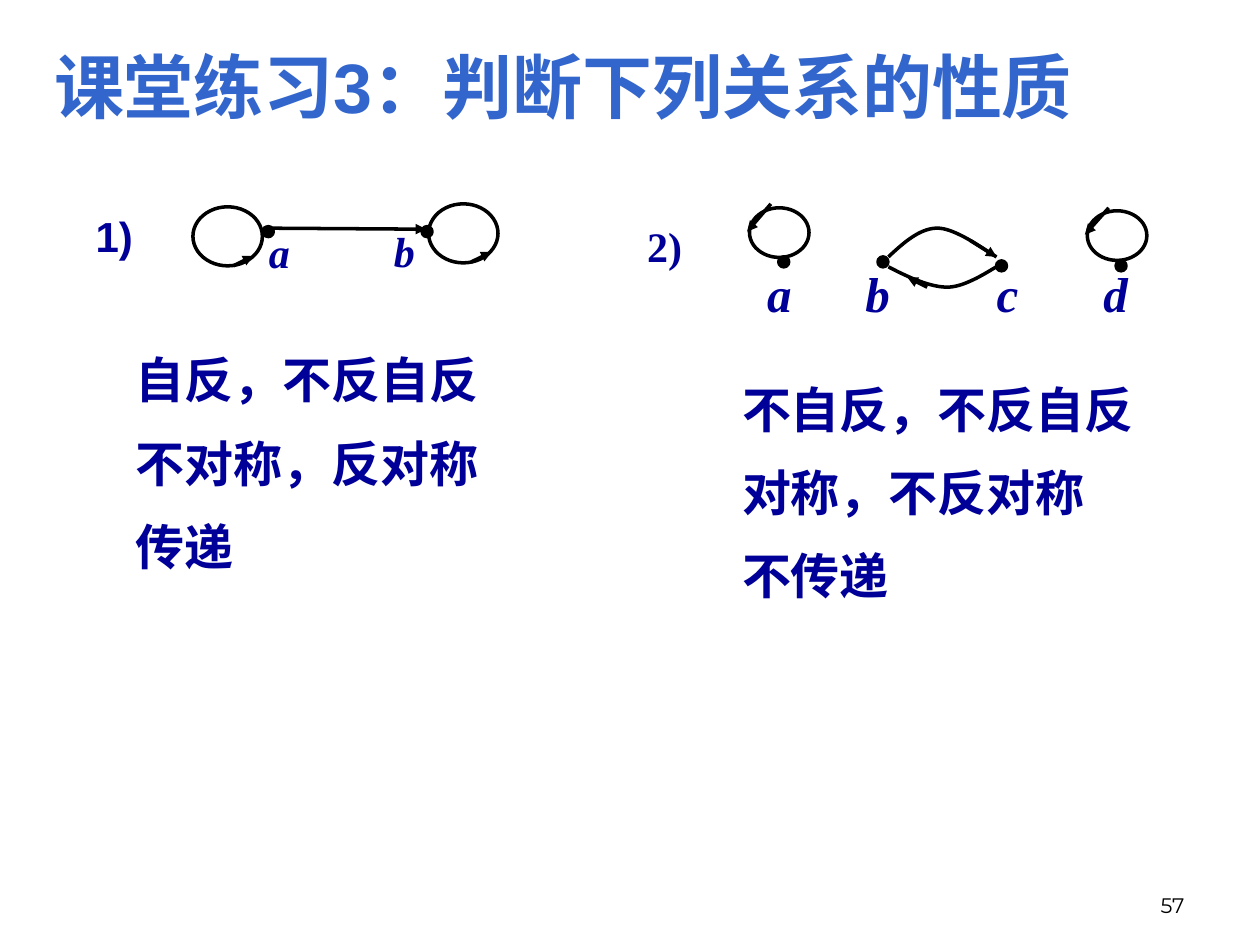
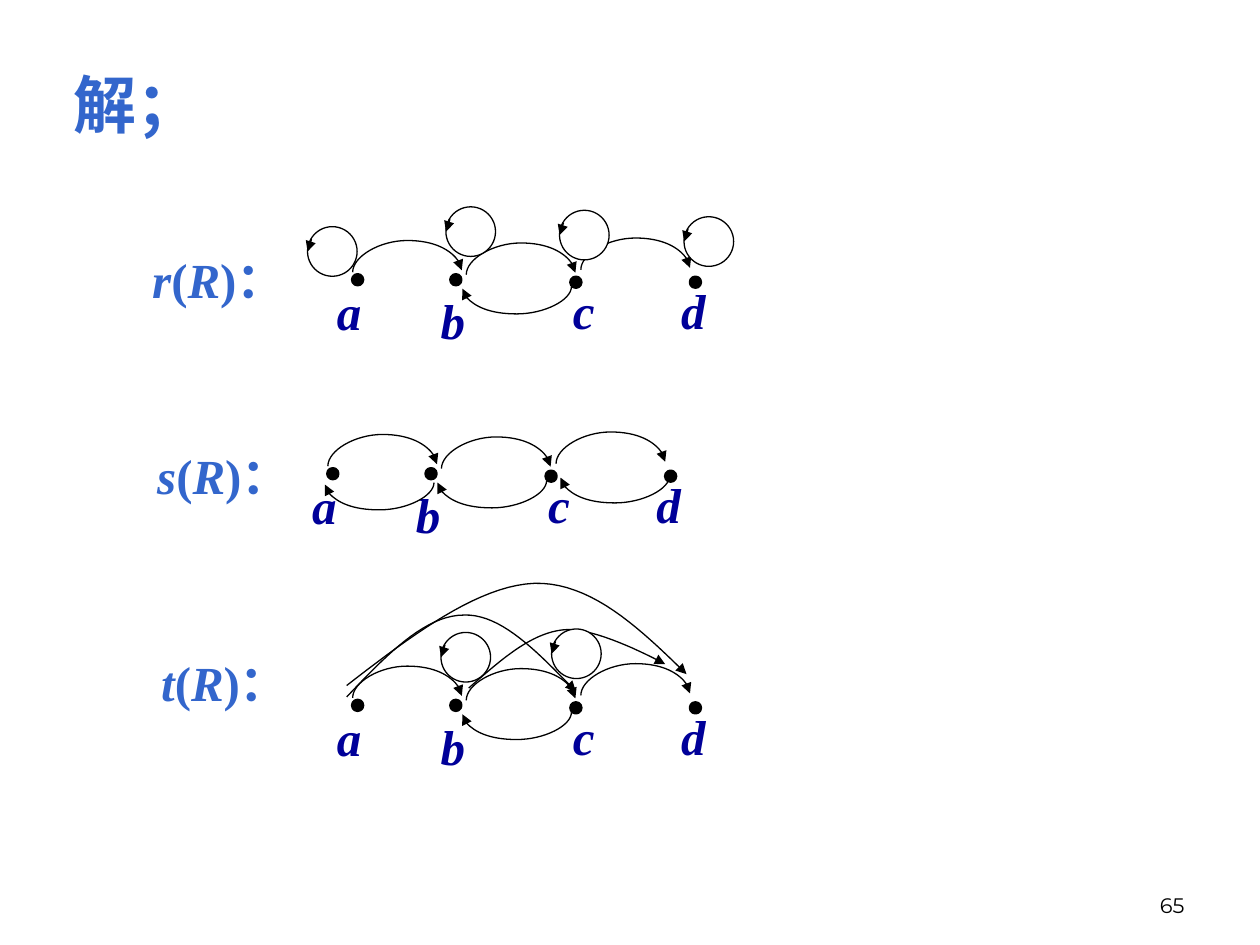
"""Build two slides on relation graphs: a property exercise and the closures of R."""
from lxml import etree
from pptx import Presentation, util as u
from pptx.dml.color import RGBColor
from pptx.enum import shapes, text
from pptx.oxml.ns import qn

COLORS = {"title": "3366CC", "body": "000099", "ink": "000000", "paper": "FFFFFF"}
SERIF, SANS, FOOTER = "Times New Roman", "Arial", "Montserrat"
OVAL, LOOP = shapes.MSO_SHAPE.OVAL, shapes.MSO_SHAPE.FLOWCHART_CONNECTOR
CENTER, RIGHT, LEFT = text.PP_ALIGN.CENTER, text.PP_ALIGN.RIGHT, text.PP_ALIGN.LEFT
DOT = 0.2
ARC_SPAN, ARC_DROP = 2.2, 0.04


def add_text(parent, box, paras, size, font=SERIF, color="body", bold=True, align=LEFT):
    """Add a text box; each paragraph is a list of (words, italic) runs."""
    tb = parent.add_textbox(*[u.Cm(v) for v in box])
    tf = tb.text_frame
    tf.word_wrap = True
    for i, runs in enumerate(paras):
        p = tf.paragraphs[0] if i == 0 else tf.add_paragraph()
        p.alignment = align
        if i:
            p.space_before = u.Pt(size / 2)
        for words, italic in runs:
            r = p.add_run()
            r.text = words
            r.font.size, r.font.name = u.Pt(size), font
            r.font.bold, r.font.italic = bold, italic
            r.font.color.rgb = RGBColor.from_string(COLORS[color])
    return tf


def draw(parent, kind, pts, width, fill=None, arrow=None):
    """Draw an oval (left, top, w, h), line, arc (x, y, rise) or Bezier curve."""
    if kind == "line":
        sp = parent.add_connector(shapes.MSO_CONNECTOR.STRAIGHT, *[u.Cm(v) for v in pts])
    elif kind == "arc":
        x, y, rise = pts
        left, top = x + (ARC_SPAN - ARC_DROP) / 2, y - (ARC_SPAN + ARC_DROP) / 2
        ends = left + ARC_DROP, top + ARC_SPAN, left, top
        sp = parent.add_connector(shapes.MSO_CONNECTOR.CURVE, *[u.Cm(v) for v in ends])
        sp._element.spPr.find(qn("a:xfrm")).set("rot", str(90 * 60000))
        guides = sp._element.spPr.find(qn("a:prstGeom")).find(qn("a:avLst"))
        etree.SubElement(guides, qn("a:gd"), name="adj1",
                         fmla=f"val {round(rise / ARC_DROP * 100000)}")
    elif kind == "curve":
        trail = []
        for k in range(0, len(pts) - 1, 3):
            for t in [n / 20 for n in range(21)]:
                weights = (1 - t) ** 3, 3 * t * (1 - t) ** 2, 3 * t * t * (1 - t), t ** 3
                trail.append([u.Cm(sum(w * q[axis] for w, q in zip(weights, pts[k:k + 4])))
                              for axis in (0, 1)])
        fb = parent.build_freeform(*trail[0])
        fb.add_line_segments(trail[1:], close=False)
        sp = fb.convert_to_shape()
    else:
        sp = parent.add_shape(kind, *[u.Cm(v) for v in pts])
    sp.line.color.rgb = RGBColor.from_string(COLORS["ink"])
    sp.line.width = u.Pt(width)
    if arrow:
        etree.SubElement(sp.line._get_or_add_ln(), qn(f"a:{arrow}"), type="triangle")
    if kind in ("line", "arc"):
        etree.SubElement(sp._element.spPr, qn("a:effectLst"))
        return
    sp.shadow.inherit = False
    if fill:
        sp.fill.solid()
        sp.fill.fore_color.rgb = RGBColor.from_string(COLORS[fill])
    else:
        sp.fill.background()


prs = Presentation()
prs.slide_width, prs.slide_height = u.Cm(25.4), u.Cm(19.05)
titles = [
    ("57", "课堂练习3：判断下列关系的性质", 40, SANS, (0.84, 0.76, 22.53, 1.96)),
    ("65", "解；", 36, SERIF, (1.24, 1.19, 24.0, 1.8)),
]
for number, title, size, font, box in titles:
    s = prs.slides.add_slide(prs.slide_layouts[6])
    tf = add_text(s.shapes, (18.21, 17.35, 5.92, 1.27), [[(number, False)]], 12,
                  FOOTER, "ink", False, RIGHT)
    tf.vertical_anchor = text.MSO_ANCHOR.BOTTOM
    add_text(s.shapes, box, [[(title, False)]], size, font, "title")
exercise, closures = prs.slides

graphs = [
    {"dots": [(5.31, 4.57), (8.51, 4.57)],
     "loops": [(3.89, 4.17, 1.4, 1.19), (8.64, 4.11, 1.4, 1.19)],
     "arrows": [(5.31, 4.6, 8.59, 4.62), (4.7, 5.36, 5.11, 5.16), (9.5, 5.28, 9.91, 5.08)],
     "curves": [], "size": 24,
     "labels": [("a", 4.83, 4.45), ("b", 7.35, 4.42)]},
    {"dots": [(20.09, 5.26), (17.7, 5.18), (15.7, 5.18), (22.5, 5.26)],
     "loops": [(15.11, 4.19, 1.2, 1.0), (21.92, 4.25, 1.2, 1.0)],
     "arrows": [(15.54, 4.11, 15.06, 4.67), (22.35, 4.19, 21.87, 4.73),
                (19.56, 4.85, 20.09, 5.18), (18.69, 5.79, 18.29, 5.59)],
     "curves": [[(17.91, 5.18), (18.21, 4.9), (18.54, 4.6), (18.9, 4.6),
                 (19.28, 4.6), (19.91, 5.08), (20.09, 5.18)],
                [(17.91, 5.38), (18.31, 5.59), (18.75, 5.79), (19.1, 5.79),
                 (19.46, 5.79), (19.94, 5.46), (20.09, 5.38)]],
     "size": 28,
     "labels": [("a", 14.91, 5.18), ("b", 16.89, 5.18), ("c", 19.51, 5.18), ("d", 21.69, 5.18)]},
]
for graph in graphs:
    g = exercise.shapes.add_group_shape().shapes
    for x, y in graph["dots"]:
        draw(g, OVAL, (x, y, DOT, DOT), 2, "ink")
    for loop in graph["loops"]:
        draw(g, OVAL, loop, 2)
    for curve in graph["curves"]:
        draw(g, "curve", curve, 2)
    for ends in graph["arrows"]:
        draw(g, "line", ends, 2, arrow="tailEnd")
    for name, x, y in graph["labels"]:
        add_text(g, (x, y, 1.6, 1.4), [[(name, True)]], graph["size"], align=CENTER)

answers = [
    ("1)", SANS, (1.3, 4.11, 2.01, 1.27), (2.49, 6.93, 8.0, 5.05),
     ["自反，不反自反", "不对称，反对称", "传递"]),
    ("2)", SERIF, (12.5, 4.32, 1.8, 1.27), (14.71, 7.52, 9.19, 5.0),
     ["不自反，不反自反", "对称，不反对称", "不传递"]),
]
for number, font, number_box, answer_box, lines in answers:
    add_text(exercise.shapes, number_box, [[(number, False)]], 24, font, align=CENTER)
    add_text(exercise.shapes, answer_box, [[(line, False)] for line in lines], 28, SANS)

nodes = [("a", 7.11, 5.54, 6.38, 5.56, 1.32), ("b", 9.09, 5.54, 8.33, 5.74, 1.6),
         ("c", 11.51, 5.59, 10.97, 5.54, 1.6), ("d", 13.92, 5.59, 13.18, 5.54, 1.6)]
upper_arcs = [(11.71, 5.44), (9.4, 5.54), (7.11, 5.49)]
lower_arc = (9.32, 5.82)
rows = [
    {"name": "r", "shift": (0, 0), "at": (2.82, 4.9, 3.23), "lower": [lower_arc], "long": [],
     "loops": [(13.79, 4.37), (11.28, 4.24), (8.99, 4.17), (6.2, 4.57)]},
    {"name": "s", "shift": (-0.5, 3.91), "at": (2.92, 8.86, 3.38), "loops": [], "long": [],
     "lower": [lower_arc, (7.05, 5.86), (11.8, 5.72)]},
    {"name": "t", "shift": (0, 8.58), "at": (3.0, 13.03, 3.12), "lower": [lower_arc],
     "loops": [(8.89, 4.17), (11.12, 4.1)],
     "long": [[(6.99, 14.05), (7.77, 13.23), (8.56, 12.4), (9.35, 12.4),
               (10.11, 12.37), (10.85, 13.16), (11.61, 13.94)],
              [(6.99, 13.82), (8.31, 12.8), (9.63, 11.81), (10.77, 11.76),
               (11.91, 11.73), (12.88, 12.65), (13.84, 13.59)],
              [(9.45, 13.87), (10.06, 13.34), (10.67, 12.78), (11.33, 12.7),
               (11.99, 12.6), (13.41, 13.39), (13.41, 13.39)]]},
]
for row in rows:
    dx, dy = row["shift"]
    g = closures.shapes.add_group_shape().shapes
    for name, x, y, label_x, label_y, label_w in nodes:
        draw(g, OVAL, (x + dx, y + dy, DOT, DOT), 2, "ink")
        add_text(g, (label_x + dx, label_y + dy, label_w, 1.45), [[(name, True)]], 28, align=CENTER)
    for x, y in upper_arcs:
        draw(g, "arc", (x + dx, y + dy, 0.64), 0.75, arrow="tailEnd")
    for x, y in row["lower"]:
        draw(g, "arc", (x + dx, y + dy, -0.51), 0.75, arrow="headEnd")
    for curve in row["long"]:
        draw(g, "curve", curve, 0.75, arrow="tailEnd")
    for x, y in row["loops"]:
        x, y = x + dx, y + dy
        draw(g, LOOP, (x, y, 1, 1), 0.75, "paper")
        draw(g, "line", (x + 0.08, y + 0.25, x, y + 0.5), 0.75, arrow="tailEnd")
    left, top, width = row["at"]
    add_text(closures.shapes, (left, top, width, 1.45),
             [[(row["name"], True), ("(", False), ("R", True), (")：", False)]], 28, color="title")

prs.save("out.pptx")
